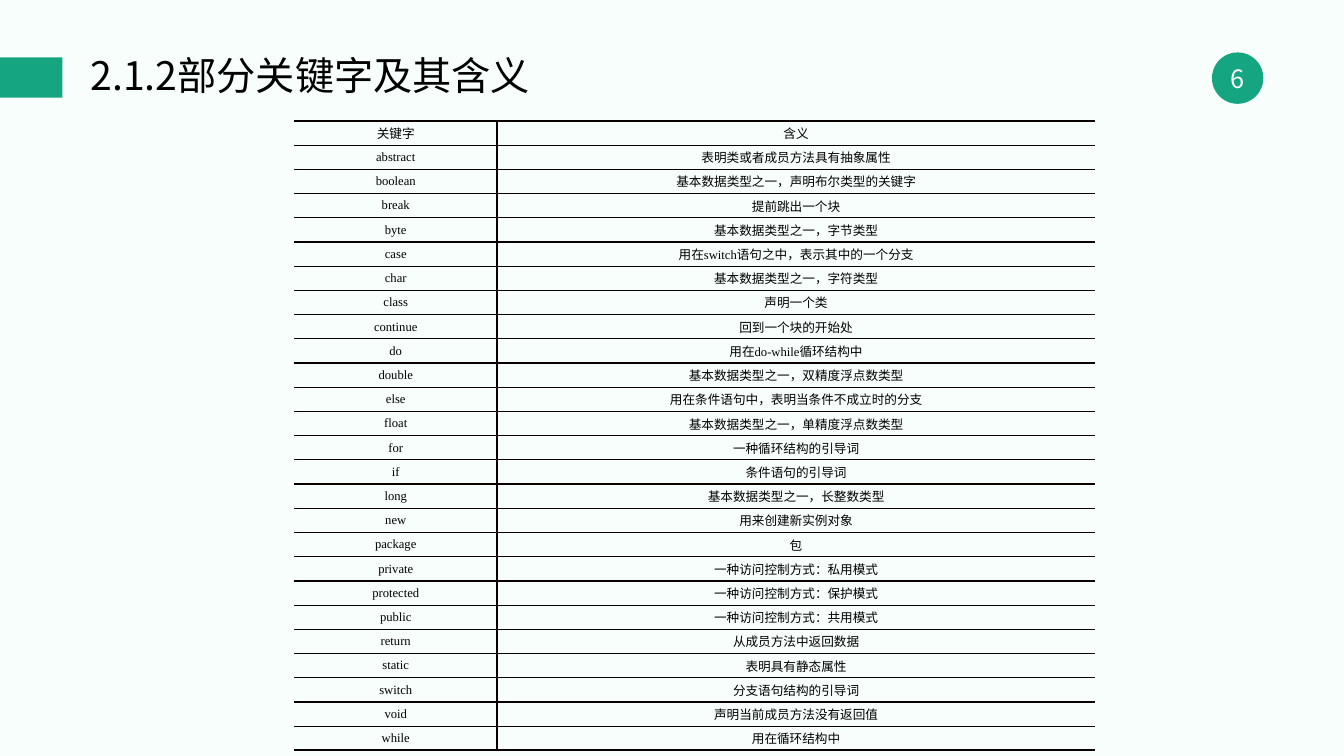
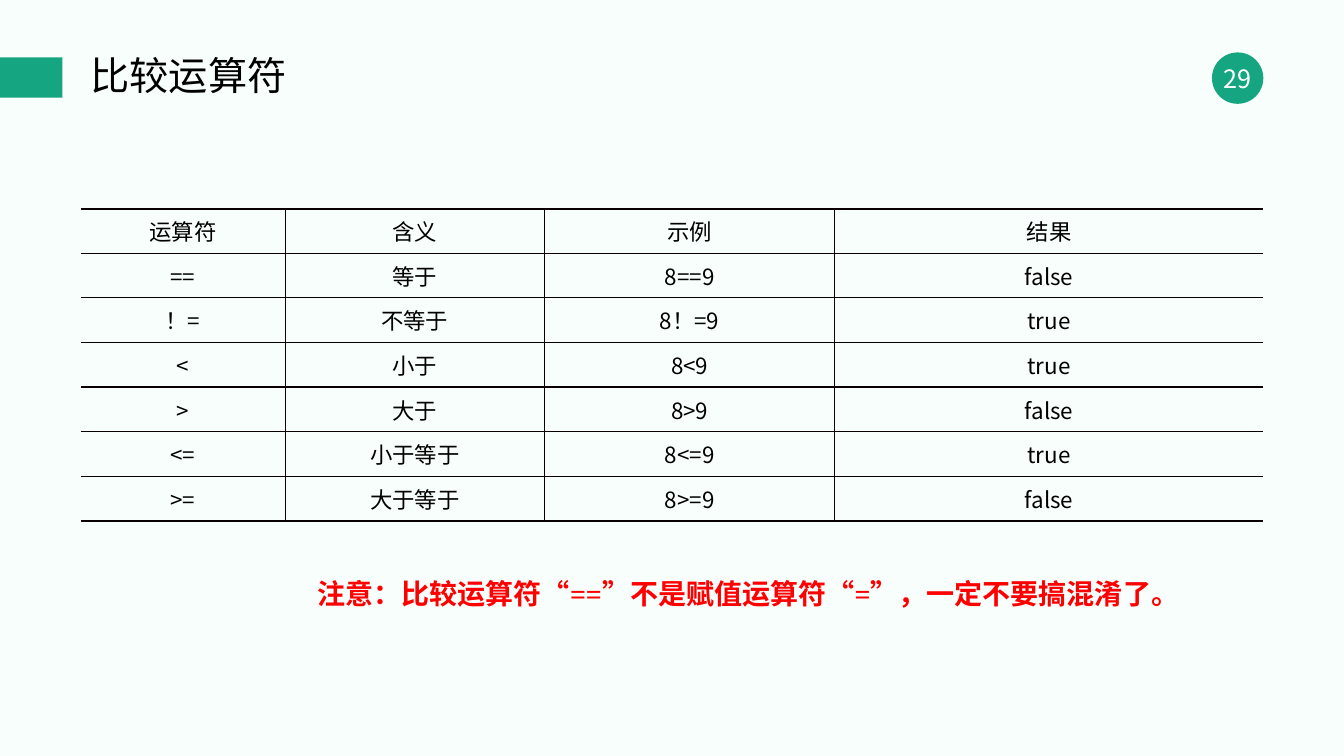
"""Build two slides on keywords and comparison operators."""
import pptx
import pptx.util
import pptx.dml.color
import pptx.enum.lang
import pptx.enum.shapes
import pptx.enum.text
import pptx.oxml
import pptx.oxml.ns

Inches, Pt = pptx.util.Inches, pptx.util.Pt
ALIGN = pptx.enum.text.PP_ALIGN
ANCHOR = pptx.enum.text.MSO_ANCHOR
SHAPE = pptx.enum.shapes.MSO_SHAPE

COLOURS = {"page": "F8FEFC", "accent": "15A681", "text": "000000",
           "rule": "080000", "badge": "FFFFFF", "warning": "FF0000"}
SANS, SERIF = "Noto Sans CJK SC", "Times New Roman"

KEYWORDS = [
    ("关键字", "含义"),
    ("abstract", "表明类或者成员方法具有抽象属性"),
    ("boolean", "基本数据类型之一，声明布尔类型的关键字"),
    ("break", "提前跳出一个块"),
    ("byte", "基本数据类型之一，字节类型"),
    ("case", "用在switch语句之中，表示其中的一个分支"),
    ("char", "基本数据类型之一，字符类型"),
    ("class", "声明一个类"),
    ("continue", "回到一个块的开始处"),
    ("do", "用在do-while循环结构中"),
    ("double", "基本数据类型之一，双精度浮点数类型"),
    ("else", "用在条件语句中，表明当条件不成立时的分支"),
    ("float", "基本数据类型之一，单精度浮点数类型"),
    ("for", "一种循环结构的引导词"),
    ("if", "条件语句的引导词"),
    ("long", "基本数据类型之一，长整数类型"),
    ("new", "用来创建新实例对象"),
    ("package", "包"),
    ("private", "一种访问控制方式：私用模式"),
    ("protected", "一种访问控制方式：保护模式"),
    ("public", "一种访问控制方式：共用模式"),
    ("return", "从成员方法中返回数据"),
    ("static", "表明具有静态属性"),
    ("switch", "分支语句结构的引导词"),
    ("void", "声明当前成员方法没有返回值"),
    ("while", "用在循环结构中"),
]
OPERATORS = [
    ("运算符", "含义", "示例", "结果"),
    ("==", "等于", "8==9", "false"),
    ("！=", "不等于", "8！=9", "true"),
    ("<", "小于", "8<9", "true"),
    (">", "大于", "8>9", "false"),
    ("<=", "小于等于", "8<=9", "true"),
    (">=", "大于等于", "8>=9", "false"),
]
SLIDES = [
    {"title": "2.1.2部分关键字及其含义", "number": "6",
     "table": {"rows": KEYWORDS, "left": 2.92, "top": 1.2, "height": 6.25,
               "widths": (2.01, 5.93), "size": 9, "font": SERIF}},
    {"title": "比较运算符", "number": "29",
     "table": {"rows": OPERATORS, "left": 0.8, "top": 2.07, "height": 3.1,
               "widths": (2.03, 2.57, 2.88, 4.25), "size": 16, "font": SANS},
     "note": "注意：比较运算符“==”不是赋值运算符“=”，一定不要搞混淆了。"},
]


def colour(name):
    return pptx.dml.color.RGBColor.from_string(COLOURS[name])


def write(frame, text, size, font=SANS, ink="text", bold=False,
          align=ALIGN.LEFT, spacing=1.0, indent=0):
    para = frame.paragraphs[0]
    para.alignment = align
    para.line_spacing = spacing
    if indent:
        properties = para._p.get_or_add_pPr()
        properties.set("marL", "0")
        properties.set("indent", str(Inches(indent)))
    span = para.add_run()
    span.text = text
    span.font.size, span.font.bold, span.font.name = Pt(size), bold, font
    span.font.color.rgb = colour(ink)
    span.font.language_id = pptx.enum.lang.MSO_LANGUAGE_ID.SIMPLIFIED_CHINESE
    east_asian = pptx.oxml.parse_xml(
        f'<a:ea {pptx.oxml.ns.nsdecls("a")} typeface="{SANS}"/>')
    span.font._element.append(east_asian)


def add_text(page, place, text, anchor=ANCHOR.TOP, **style):
    box = page.shapes.add_textbox(*map(Inches, place))
    box.text_frame.word_wrap = True
    box.text_frame.vertical_anchor = anchor
    write(box.text_frame, text, **style)


def add_accent(page, kind, place):
    shape = page.shapes.add_shape(kind, *map(Inches, place))
    shape.shadow.inherit = False
    shape.fill.solid()
    shape.fill.fore_color.rgb = colour("accent")
    shape.line.fill.background()
    return shape


def add_frame(page, title, number):
    badge = add_accent(page, SHAPE.OVAL, (12.02, 0.52, 0.51, 0.51)).text_frame
    badge.margin_left = badge.margin_right = 0
    badge.margin_top = badge.margin_bottom = 0
    badge.word_wrap = False
    badge.vertical_anchor = ANCHOR.MIDDLE
    write(badge, number, 18, ink="badge", align=ALIGN.CENTER)
    add_accent(page, SHAPE.RECTANGLE, (0, 0.57, 0.62, 0.4))
    add_text(page, (0.8, 0.52, 7.45, 0.51), title, anchor=ANCHOR.MIDDLE,
             size=28, spacing=0.9)


def set_borders(cell, widths):
    properties = cell._tc.get_or_add_tcPr()
    for side, width in widths.items():
        paint = (f'<a:solidFill><a:srgbClr val="{COLOURS["rule"]}"/></a:solidFill>'
                 if width else "<a:noFill/>")
        properties.append(pptx.oxml.parse_xml(
            f'<a:ln{side} {pptx.oxml.ns.nsdecls("a")} w="{Pt(width)}">'
            f'{paint}</a:ln{side}>'))


def add_grid(page, rows, left, top, height, widths, size, font):
    last_row, last_column = len(rows) - 1, len(widths) - 1
    table = page.shapes.add_table(
        len(rows), len(widths), Inches(left), Inches(top),
        Inches(sum(widths)), Inches(height)).table
    table.first_row = table.horz_banding = False
    for column, width in zip(table.columns, widths):
        column.width = Inches(width)
    for r, texts in enumerate(rows):
        table.rows[r].height = Inches(height / len(rows))
        for c, text in enumerate(texts):
            cell = table.cell(r, c)
            set_borders(cell, {"L": 1 if c else 0,
                               "R": 1 if c < last_column else 0,
                               "T": 1 if r else 1.5,
                               "B": 1 if r < last_row else 1.5})
            cell.fill.background()
            cell.vertical_anchor = ANCHOR.MIDDLE
            cell.margin_left = cell.margin_right = Inches(0.08)
            cell.margin_top = cell.margin_bottom = Inches(0.02)
            write(cell.text_frame, text, size, font=font, align=ALIGN.CENTER)


def main():
    deck = pptx.Presentation()
    deck.slide_width, deck.slide_height = Inches(13.33), Inches(7.5)
    backdrop = deck.slide_master.background.fill
    backdrop.solid()
    backdrop.fore_color.rgb = colour("page")
    for content in SLIDES:
        page = deck.slides.add_slide(deck.slide_layouts[6])
        add_frame(page, content["title"], content["number"])
        add_grid(page, **content["table"])
        if "note" in content:
            add_text(page, (2.76, 5.67, 9.51, 0.44), content["note"], size=20,
                     font=SERIF, ink="warning", bold=True, indent=0.29)
    deck.save("out.pptx")


if __name__ == "__main__":
    main()
